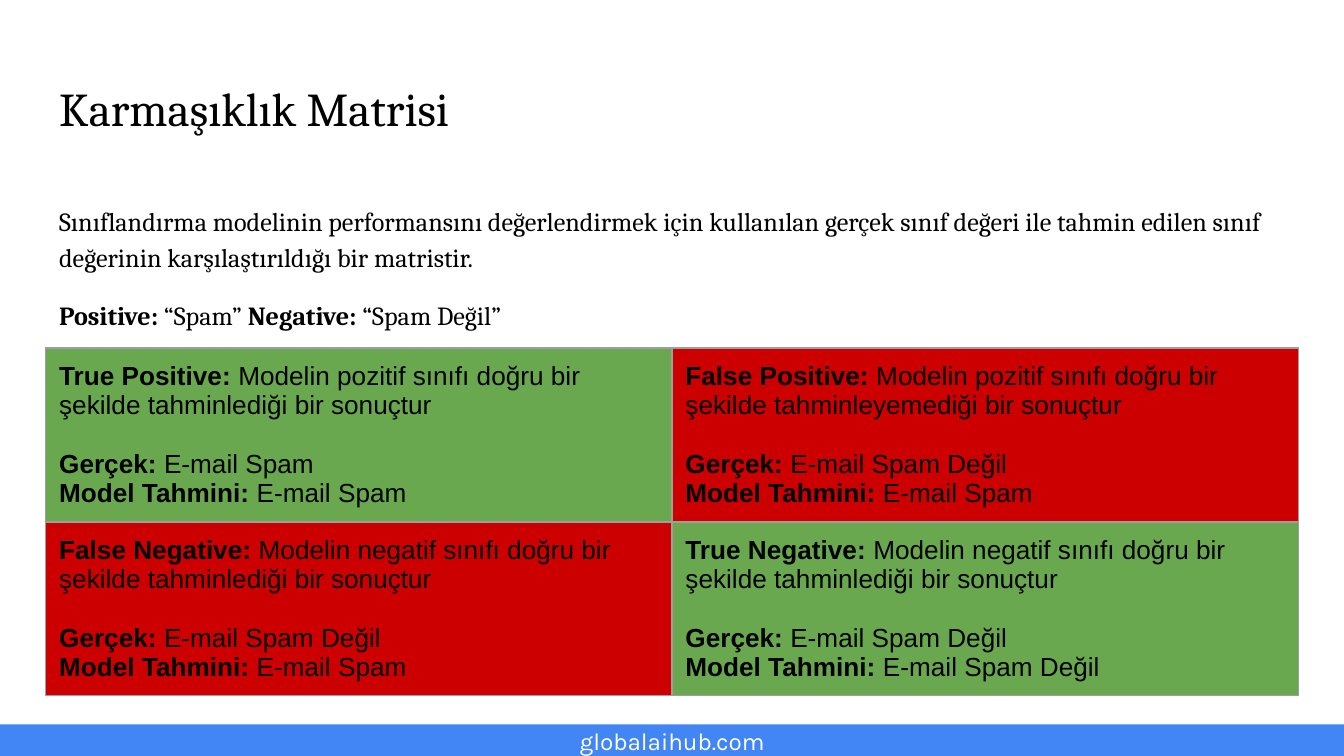
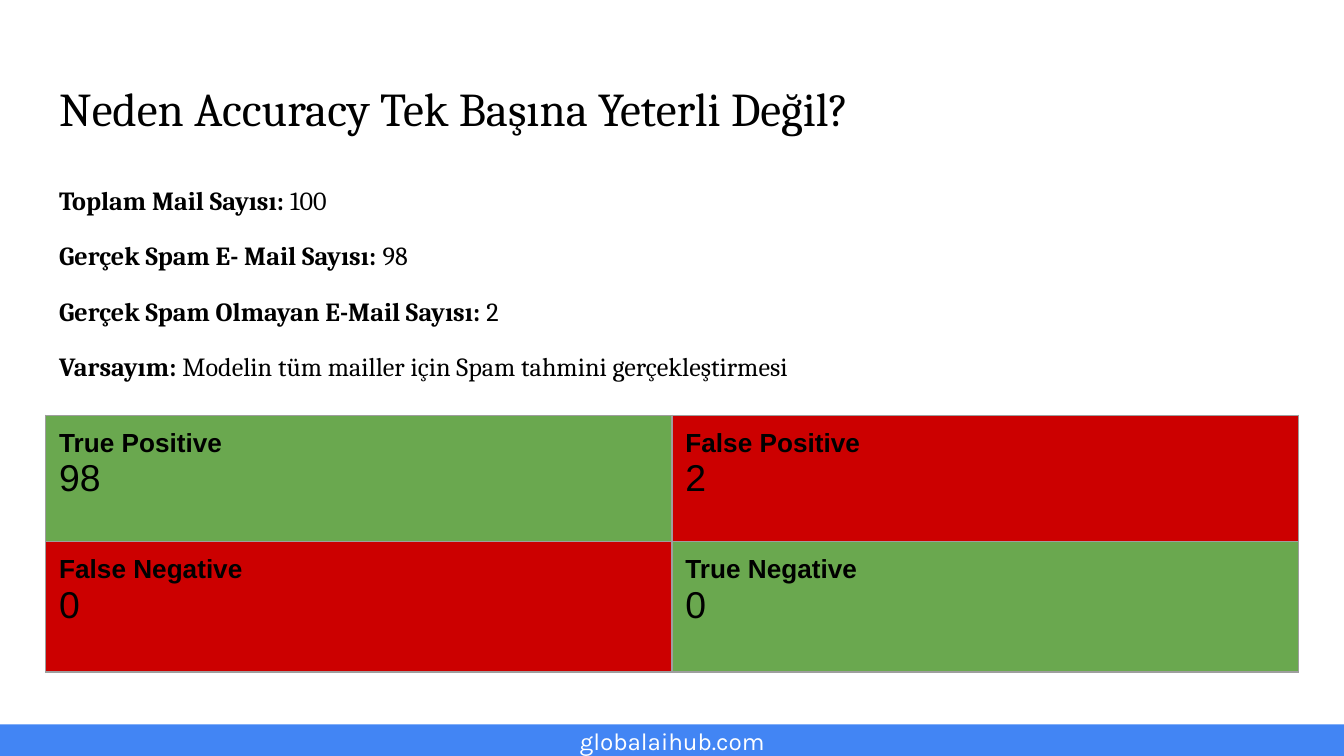
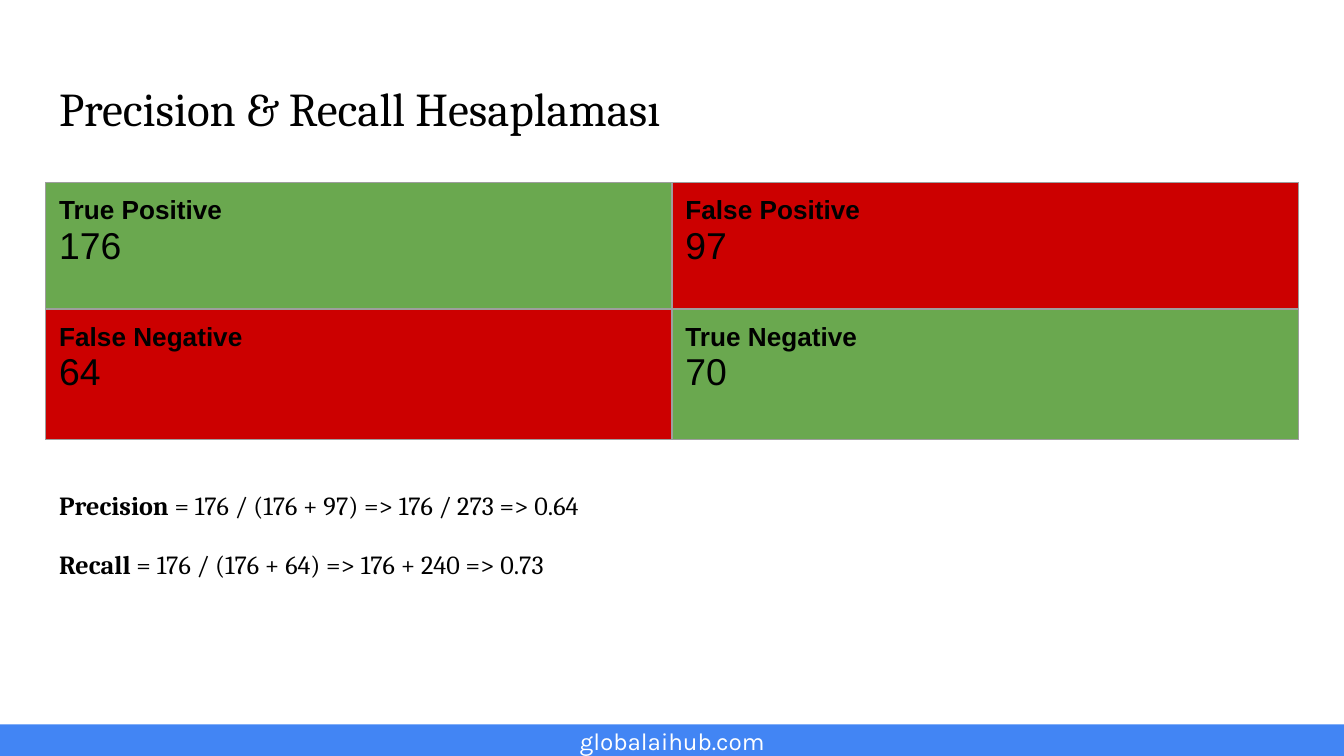
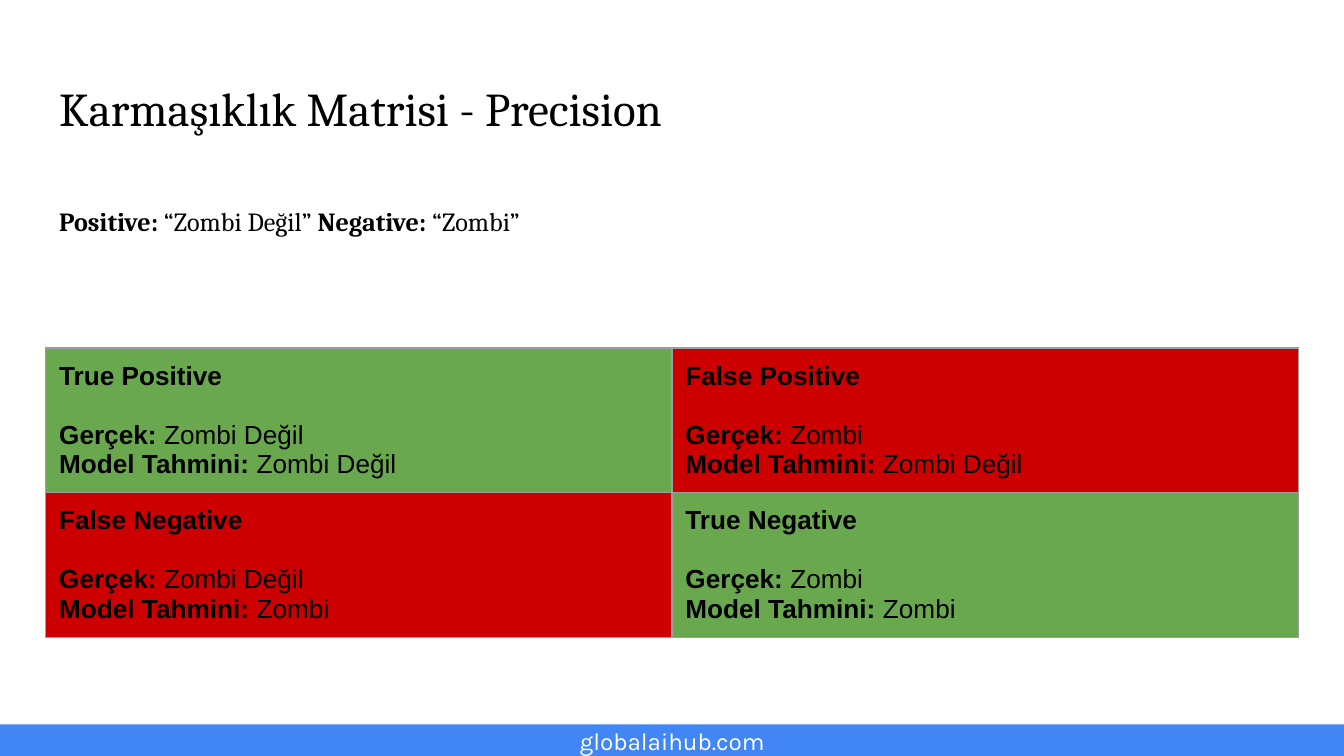
"""Build four slides on the confusion matrix, precision and recall."""
from dataclasses import dataclass
from itertools import cycle

from lxml import etree
from pptx import Presentation
from pptx import util as u
from pptx.dml.color import RGBColor
from pptx.enum import shapes, text
from pptx.oxml import ns

BLACK = RGBColor(0x00, 0x00, 0x00)
WHITE = RGBColor(0xFF, 0xFF, 0xFF)
BLUE = RGBColor(0x42, 0x85, 0xF4)
GREEN = RGBColor(0x6A, 0xA8, 0x4F)
RED = RGBColor(0xCC, 0x00, 0x00)
GREY = RGBColor(0x9E, 0x9E, 0x9E)

SERIF, SANS, BRAND = "Cambria", "Arial", "Karla"
LEFT, WIDTH = 0.34, 9.32
MARGIN = u.Inches(0.1)
ROW_HEIGHTS = (0.94, 0.97)
OUTCOMES = ("True Positive", "False Positive", "False Negative", "True Negative")


@dataclass(frozen=True)
class Line:
    """A paragraph whose runs alternate between bold and regular."""

    runs: tuple[str, ...]
    size: float = 14
    before: float = 0


@dataclass(frozen=True)
class MatrixSlide:
    """A titled slide with body lines and a two by two matrix."""

    title: str
    body: list[Line]
    body_top: float
    body_height: float
    matrix: list[list[Line]]
    matrix_top: float
    spacing: float = 1.15


def labelled_cells(explanations, actuals, predictions) -> list[list[Line]]:
    """Describe cells that compare the actual and the predicted class."""
    return [
        [Line((outcome + explanation[0], explanation[1])),
         Line(("Gerçek:", f" {actual}"), before=15.8),
         Line(("Model Tahmini:", f" {predicted}"))]
        for outcome, explanation, actual, predicted
        in zip(OUTCOMES, explanations, actuals, predictions)
    ]


def counted_cells(*counts: int) -> list[list[Line]]:
    """Describe cells that hold an outcome and its count."""
    return [[Line((outcome,)), Line(("", str(count)), size=20)]
            for outcome, count in zip(OUTCOMES, counts)]


def explained(sentiment: str, verb: str = "tahminlediği") -> tuple[str, str]:
    """Return the colon and the sentence that explain an outcome."""
    return ": ", f"Modelin {sentiment} sınıfı doğru bir şekilde {verb} bir sonuçtur"


SPAM, NOT_SPAM = "E-mail Spam", "E-mail Spam Değil"
ZOMBIE, NOT_ZOMBIE = "Zombi", "Zombi Değil"

SLIDES = [
    MatrixSlide(
        "Karmaşıklık Matrisi",
        [Line(("", "Sınıflandırma modelinin performansını değerlendirmek için kullanılan "
                   "gerçek sınıf değeri ile tahmin edilen sınıf değerinin "
                   "karşılaştırıldığı bir matristir.")),
         Line(("Positive:", " “Spam” ", "Negative:", " “Spam Değil”"), before=12)],
        1.39, 1.11,
        labelled_cells(
            (explained("pozitif"), explained("pozitif", "tahminleyemediği"),
             explained("negatif"), explained("negatif")),
            (SPAM, NOT_SPAM, NOT_SPAM, NOT_SPAM),
            (SPAM, SPAM, SPAM, NOT_SPAM)),
        2.59),
    MatrixSlide(
        "Neden Accuracy Tek Başına Yeterli Değil?",
        [Line(("Toplam Mail Sayısı:", " 100")),
         Line(("Gerçek Spam E- Mail Sayısı: ", "98"), before=12),
         Line(("Gerçek Spam Olmayan E-Mail Sayısı:", " 2"), before=12),
         Line(("Varsayım: ", "Modelin tüm mailler için Spam tahmini gerçekleştirmesi"),
              before=12)],
        1.26, 1.69, counted_cells(98, 2, 0, 0), 3.09, spacing=1.05),
    MatrixSlide(
        "Precision & Recall Hesaplaması",
        [Line(("Precision", " = 176 / (176 + 97) => 176 / 273 => 0.64")),
         Line(("Recall", " = 176 / (176 + 64) => 176 + 240 => 0.73"), before=12)],
        3.51, 1.21, counted_cells(176, 97, 64, 70), 1.36),
    MatrixSlide(
        "Karmaşıklık Matrisi - Precision",
        [Line(("Positive:", " “Zombi Değil” ", "Negative:", " “Zombi”"))],
        1.39, 1.11,
        labelled_cells(
            (("", ""),) * 4,
            (NOT_ZOMBIE, ZOMBIE, NOT_ZOMBIE, ZOMBIE),
            (NOT_ZOMBIE, NOT_ZOMBIE, ZOMBIE, ZOMBIE)),
        2.59),
]


def place(shape, left: float, top: float, width: float, height: float) -> None:
    """Move and size a shape, in inches."""
    shape.left, shape.top = u.Inches(left), u.Inches(top)
    shape.width, shape.height = u.Inches(width), u.Inches(height)


def add_text(paragraph, content: str, *, size: float, font: str,
             color: RGBColor = BLACK, bold: bool = False) -> None:
    """Add a formatted run to a paragraph."""
    run = paragraph.add_run()
    run.text = content
    run.font.size = u.Pt(size)
    run.font.name = font
    run.font.bold = bold
    run.font.color.rgb = color


def set_frame(frame, anchor=text.MSO_ANCHOR.TOP) -> None:
    """Give a text frame its margins, wrapping and anchor."""
    frame.margin_left = frame.margin_right = MARGIN
    frame.margin_top = frame.margin_bottom = MARGIN
    frame.word_wrap = True
    frame.auto_size = text.MSO_AUTO_SIZE.NONE
    frame.vertical_anchor = anchor


def add_lines(frame, lines: list[Line], font: str, spacing: float = 1.0) -> None:
    """Write lines without bullets into a text frame."""
    for index, line in enumerate(lines):
        paragraph = frame.add_paragraph() if index else frame.paragraphs[0]
        properties = paragraph._p.get_or_add_pPr()
        properties.set("marL", "0")
        properties.set("indent", "0")
        etree.SubElement(properties, ns.qn("a:buNone"))
        paragraph.alignment = text.PP_ALIGN.LEFT
        paragraph.line_spacing = spacing
        paragraph.space_before = u.Pt(line.before)
        for content, bold in zip(line.runs, cycle((True, False))):
            if content:
                add_text(paragraph, content, size=line.size, font=font, bold=bold)


def set_borders(cell) -> None:
    """Draw thin grey borders around a cell."""
    properties = cell._tc.get_or_add_tcPr()
    for side in ("lnL", "lnR", "lnT", "lnB"):
        border = etree.SubElement(properties, ns.qn(f"a:{side}"), w=str(u.Pt(0.75)))
        fill = etree.SubElement(border, ns.qn("a:solidFill"))
        etree.SubElement(fill, ns.qn("a:srgbClr"), val=str(GREY))


def add_matrix(slide, cells: list[list[Line]], top: float) -> None:
    """Add the matrix with its correct outcomes in green."""
    table = slide.shapes.add_table(
        2, 2, u.Inches(LEFT), u.Inches(top), u.Inches(WIDTH),
        u.Inches(sum(ROW_HEIGHTS))).table
    table.first_row = table.horz_banding = False
    for row, height in zip(table.rows, ROW_HEIGHTS):
        row.height = u.Inches(height)
    for index, lines in enumerate(cells):
        row, column = divmod(index, 2)
        cell = table.cell(row, column)
        set_borders(cell)
        cell.fill.solid()
        cell.fill.fore_color.rgb = GREEN if row == column else RED
        cell.margin_left = cell.margin_right = MARGIN
        cell.margin_top = cell.margin_bottom = MARGIN
        add_lines(cell.text_frame, lines, SANS)


def add_footer(slide, layout) -> None:
    """Draw the footer band and address, and hand them to the layout."""
    for placeholder in list(layout.placeholders)[2:]:
        layout.shapes.element.remove(placeholder.element)
    band = slide.shapes.add_shape(
        shapes.MSO_SHAPE.RECTANGLE, u.Inches(0), u.Inches(5.39), u.Inches(10), u.Inches(0.24))
    band.shadow.inherit = False
    band.fill.solid()
    band.fill.fore_color.rgb = BLUE
    band.line.fill.background()
    address = slide.shapes.add_textbox(
        u.Inches(2.89), u.Inches(5.29), u.Inches(4.22), u.Inches(0.44))
    set_frame(address.text_frame, text.MSO_ANCHOR.MIDDLE)
    paragraph = address.text_frame.paragraphs[0]
    paragraph.alignment = text.PP_ALIGN.CENTER
    add_text(paragraph, "globalaihub.com", size=13, font=BRAND, color=WHITE)
    for shape in (band, address):
        layout.shapes.element.append(shape.element)


def add_matrix_slide(presentation, layout, content: MatrixSlide):
    """Add one slide with its title, body and matrix."""
    slide = presentation.slides.add_slide(layout)
    title, body = slide.shapes.title, slide.placeholders[1]
    place(title, LEFT, 0.49, WIDTH, 0.63)
    set_frame(title.text_frame)
    paragraph = title.text_frame.paragraphs[0]
    paragraph.alignment = text.PP_ALIGN.LEFT
    add_text(paragraph, content.title, size=25.2, font=SERIF)
    place(body, LEFT, content.body_top, WIDTH, content.body_height)
    set_frame(body.text_frame)
    add_lines(body.text_frame, content.body, SERIF, content.spacing)
    add_matrix(slide, content.matrix, content.matrix_top)
    return slide


def main() -> None:
    """Build and save the presentation."""
    presentation = Presentation()
    presentation.slide_width = u.Inches(10)
    presentation.slide_height = u.Inches(10 * 9 / 16)
    layout = presentation.slide_layouts[1]
    slides = [add_matrix_slide(presentation, layout, content) for content in SLIDES]
    add_footer(slides[0], layout)
    presentation.save("out.pptx")


if __name__ == "__main__":
    main()
